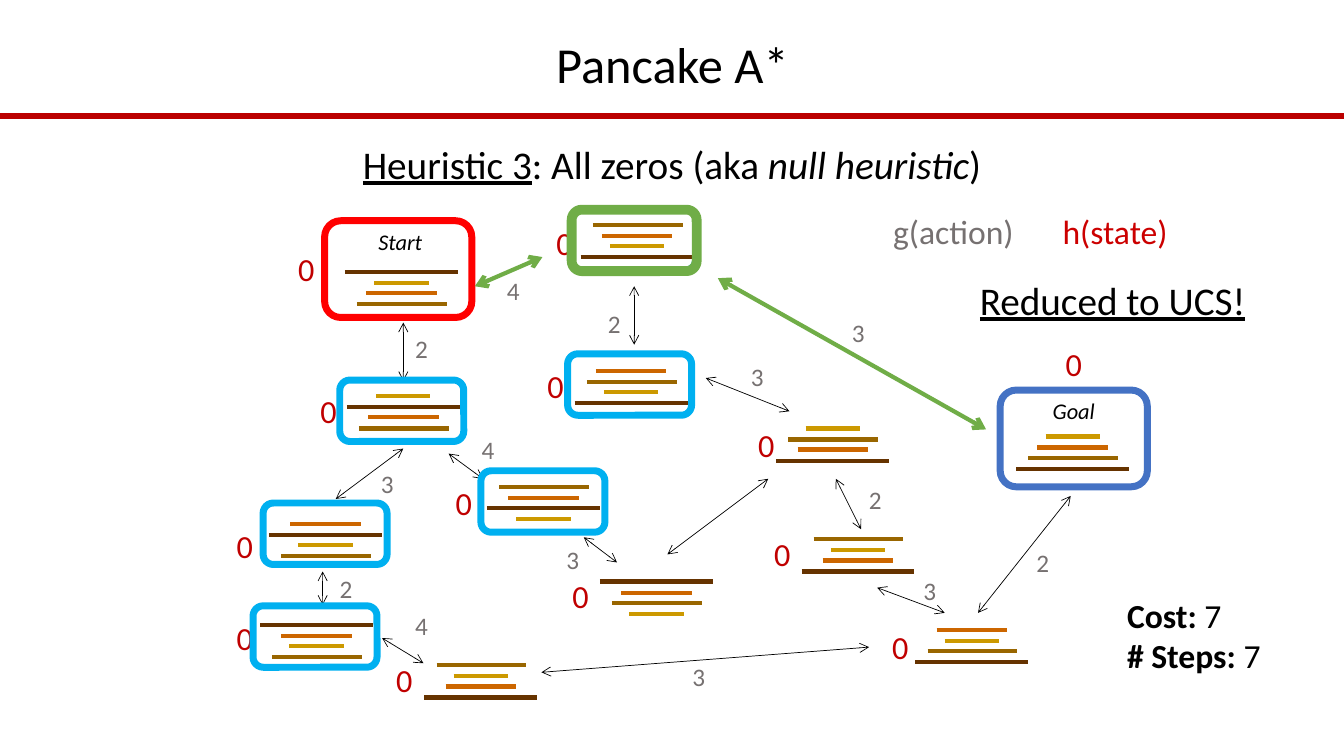
import dataclasses
import typing

import lxml.etree
import pptx
import pptx.dml.color
import pptx.enum.shapes
import pptx.enum.text
import pptx.oxml.ns
import pptx.util

SCALE = 9144
ALIGN = pptx.enum.text.PP_ALIGN
SHAPE = pptx.enum.shapes.MSO_SHAPE
Point = tuple[int, int]
Box = tuple[int, int, int, int]


@dataclasses.dataclass(frozen=True)
class Theme:
    font: str = "Calibri"
    ink: str = "000000"
    rule: str = "BB0000"
    guess: str = "C00000"
    state: str = "CC0000"
    cost: str = "767171"
    start: str = "FF0000"
    goal: str = "4472C4"
    seen: str = "00B0F0"
    route: str = "70AD47"
    title: int = 36
    head: int = 28
    key: int = 24
    zero: int = 23
    step: int = 18
    name: int = 16


THEME = Theme()


class Cake(typing.NamedTuple):
    width: int
    color: str


CAKES = {
    "1": Cake(54, "CC9900"),
    "2": Cake(70, "CC6600"),
    "3": Cake(89, "996600"),
    "4": Cake(112, "663300"),
}
ROWS = (0, 11, 21, 32)


@dataclasses.dataclass(frozen=True)
class Stack:
    order: str
    mid: int
    top: int
    zero: Point


@dataclasses.dataclass(frozen=True)
class Edge:
    tail: Point
    head: Point
    color: str = THEME.ink
    weight: float = 0.5


@dataclasses.dataclass(frozen=True)
class Frame:
    box: Box
    color: str
    weight: int = 5


@dataclasses.dataclass(frozen=True)
class Part:
    text: str
    bold: bool = False
    slant: bool = False
    under: bool = False


@dataclasses.dataclass(frozen=True)
class Label:
    box: Box
    lines: list[list[Part]]
    size: int
    color: str = THEME.ink
    align: typing.Any = ALIGN.LEFT


STACKS = [
    Stack("4123", 398, 270, (286, 242)),
    Stack("1423", 400, 393, (308, 383)),
    Stack("3214", 632, 223, (542, 217)),
    Stack("2413", 323, 520, (225, 517)),
    Stack("3241", 539, 483, (442, 475)),
    Stack("1234", 1064, 433, (1047, 337)),
    Stack("2314", 626, 368, (533, 358)),
    Stack("4231", 651, 577, (558, 567)),
    Stack("4213", 314, 620, (225, 608)),
    Stack("3124", 477, 660, (383, 650)),
    Stack("1324", 826, 425, (742, 417)),
    Stack("2134", 964, 625, (875, 617)),
    Stack("3124", 851, 535, (758, 525)),
]

EDGES = [
    Edge((400, 378), (400, 320)),
    Edge((333, 495), (400, 445)),
    Edge((479, 475), (445, 450)),
    Edge((320, 600), (320, 567)),
    Edge((420, 658), (379, 633)),
    Edge((862, 642), (537, 667)),
    Edge((612, 558), (579, 533)),
    Edge((762, 475), (662, 550)),
    Edge((700, 375), (783, 408)),
    Edge((629, 284), (629, 342)),
    Edge((829, 475), (854, 525)),
    Edge((870, 583), (937, 608)),
    Edge((970, 608), (1062, 492)),
]
ROUTE = [
    Edge((538, 255), (471, 284), THEME.route, 3),
    Edge((978, 426), (712, 276), THEME.route, 3),
]

SEEN = [(337, 377), (567, 207), (261, 499), (477, 467), (563, 351), (251, 601)]
FRAMES = [
    Frame((322, 219, 146, 96), THEME.start),
    Frame((992, 387, 146, 96), THEME.goal),
    *(Frame((x, y, 123, 61), THEME.seen) for x, y in SEEN),
    Frame((567, 208, 124, 61), THEME.route, 7),
]

COSTS = [
    ("3", 835, 310), ("2", 1018, 538), ("3", 735, 354), ("3", 677, 651),
    ("2", 852, 476), ("2", 327, 564), ("2", 402, 326), ("4", 493, 268),
    ("3", 368, 460), ("4", 468, 426), ("3", 552, 535), ("4", 402, 601),
    ("2", 593, 301), ("3", 906, 566),
]
LABELS = [
    Label((0, 134, 1333, 57),
          [[Part("Heuristic 3", under=True), Part(": All zeros (aka "),
            Part("null heuristic", slant=True), Part(")")]],
          THEME.head, align=ALIGN.CENTER),
    Label((355, 221, 84, 37), [[Part("Start", slant=True)]], THEME.name, align=ALIGN.CENTER),
    Label((1023, 389, 84, 37), [[Part("Goal", slant=True)]], THEME.name, align=ALIGN.CENTER),
    Label((876, 204, 143, 50), [[Part("g(action)")]], THEME.key, THEME.cost),
    Label((1044, 204, 125, 50), [[Part("h(state)")]], THEME.key, THEME.state),
    Label((1108, 585, 210, 91),
          [[Part("Cost: ", bold=True), Part("7")], [Part("# Steps: ", bold=True), Part("7")]],
          THEME.key),
    Label((962, 269, 333, 57), [[Part("Reduced to UCS!", under=True)]], THEME.head),
    *(Label((*item.zero, 33, 49), [[Part("0")]], THEME.zero, THEME.guess) for item in STACKS),
    *(Label((x, y, 33, 40), [[Part(text)]], THEME.step, THEME.cost) for text, x, y in COSTS),
]


def px(size: int) -> pptx.util.Emu:
    return pptx.util.Emu(size * SCALE)


def rgb(color: str) -> pptx.dml.color.RGBColor:
    return pptx.dml.color.RGBColor.from_string(color)


def draw_edge(slide: typing.Any, edge: Edge, arrow: bool = True) -> None:
    line = slide.shapes.add_connector(
        pptx.enum.shapes.MSO_CONNECTOR.STRAIGHT, *map(px, (*edge.tail, *edge.head)))
    line.line.color.rgb = rgb(edge.color)
    line.line.width = pptx.util.Pt(edge.weight)
    if arrow:
        stroke = line.line._get_or_add_ln()
        for end in ("a:headEnd", "a:tailEnd"):
            lxml.etree.SubElement(stroke, pptx.oxml.ns.qn(end), type="arrow")
    lxml.etree.SubElement(line._element.spPr, pptx.oxml.ns.qn("a:effectLst"))


def draw_stack(slide: typing.Any, stack: Stack) -> None:
    for size, row in zip(stack.order, ROWS):
        cake = CAKES[size]
        left, y = stack.mid - cake.width // 2, stack.top + row
        draw_edge(slide, Edge((left, y), (left + cake.width, y), cake.color, 3), arrow=False)


def draw_frame(slide: typing.Any, frame: Frame) -> None:
    shape = slide.shapes.add_shape(SHAPE.ROUNDED_RECTANGLE, *map(px, frame.box))
    shape.shadow.inherit = False
    shape.fill.background()
    shape.line.color.rgb = rgb(frame.color)
    shape.line.width = pptx.util.Pt(frame.weight)


def set_font(font: typing.Any, size: int, color: str) -> None:
    font.name = THEME.font
    font.size = pptx.util.Pt(size)
    font.color.rgb = rgb(color)


def draw_label(slide: typing.Any, label: Label) -> None:
    frame = slide.shapes.add_textbox(*map(px, label.box)).text_frame
    frame.word_wrap = True
    for i, parts in enumerate(label.lines):
        para = frame.add_paragraph() if i else frame.paragraphs[0]
        para.alignment = label.align
        set_font(para.font, label.size, label.color)
        for part in parts:
            run = para.add_run()
            run.text = part.text
            run.font.bold = part.bold
            run.font.italic = part.slant
            run.font.underline = part.under


def draw_title(slide: typing.Any, text: str) -> None:
    title = slide.shapes.title
    title.left, title.top, title.width, title.height = map(px, (92, 34, 1150, 66))
    title.text_frame.text = text
    title.text_frame.vertical_anchor = pptx.enum.text.MSO_ANCHOR.MIDDLE
    para = title.text_frame.paragraphs[0]
    para.alignment = ALIGN.CENTER
    para.line_spacing = 0.9
    set_font(para.font, THEME.title, THEME.ink)


def main() -> None:
    deck = pptx.Presentation()
    deck.slide_width, deck.slide_height = px(1333), px(750)
    slide = deck.slides.add_slide(deck.slide_layouts[5])
    draw_title(slide, "Pancake A*")
    draw_edge(slide, Edge((0, 115), (1333, 115), THEME.rule, 4), arrow=False)
    for stack in STACKS:
        draw_stack(slide, stack)
    for edge in EDGES:
        draw_edge(slide, edge)
    for label in LABELS:
        draw_label(slide, label)
    for frame in FRAMES:
        draw_frame(slide, frame)
    for edge in ROUTE:
        draw_edge(slide, edge)
    deck.save("out.pptx")


if __name__ == "__main__":
    main()
